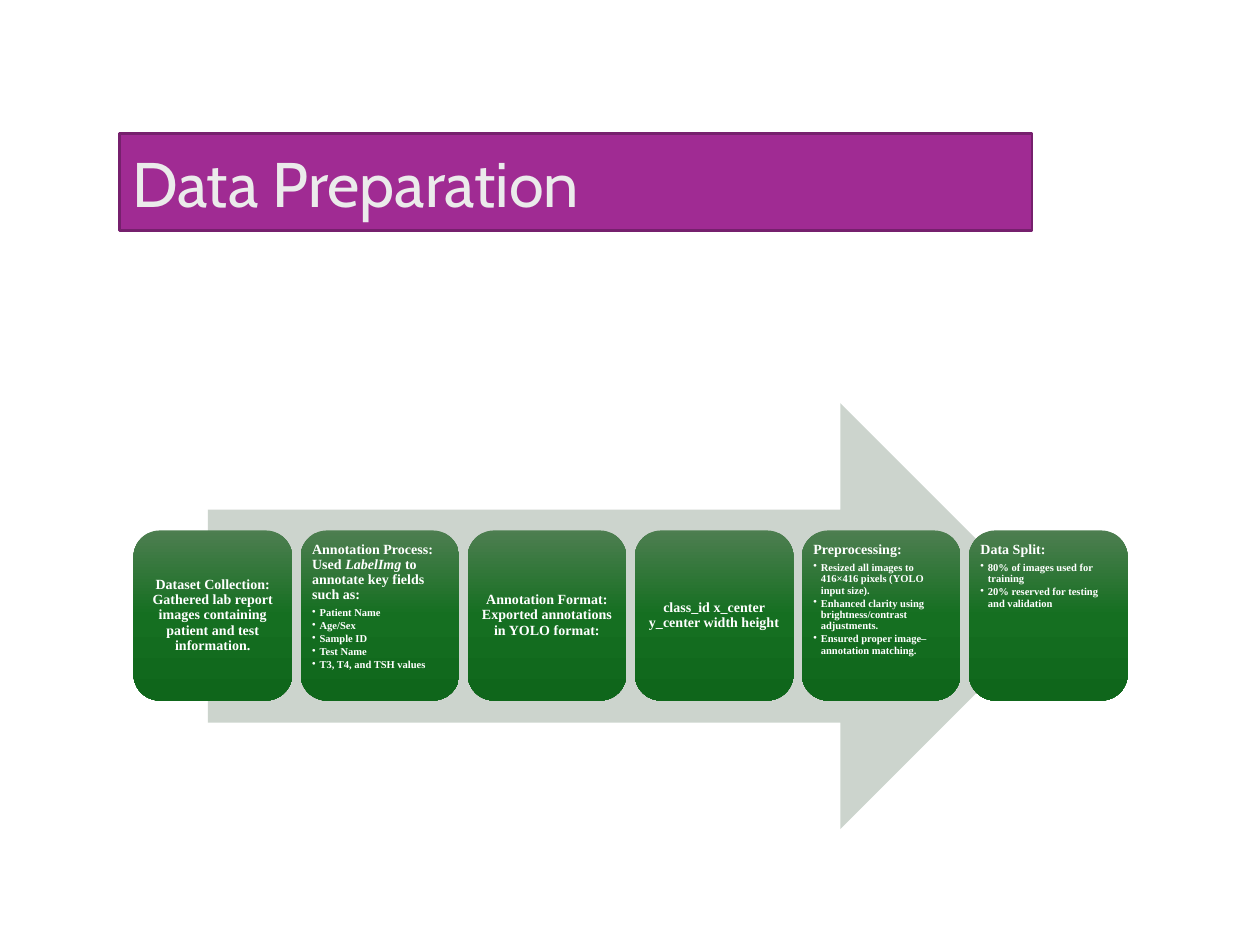
import pptx
import pptx.util
import pptx.oxml
import pptx.dml.color
import pptx.enum.shapes
import pptx.enum.text

Inches, Pt = pptx.util.Inches, pptx.util.Pt
KIND = pptx.enum.shapes.MSO_SHAPE
ALIGN = pptx.enum.text.PP_ALIGN
ANCHOR = pptx.enum.text.MSO_ANCHOR
NS = 'xmlns:a="http://schemas.openxmlformats.org/drawingml/2006/main"'


def color(code):
    return pptx.dml.color.RGBColor.from_string(code)


def put(kind, left, top, width, height, fill):
    shape = slide.shapes.add_shape(
        kind, Inches(left), Inches(top), Inches(width), Inches(height))
    shape.shadow.inherit = False
    shape.fill.solid()
    shape.fill.fore_color.rgb = color(fill)
    shape.line.fill.background()
    return shape


deck = pptx.Presentation()
deck.slide_width, deck.slide_height = Inches(10), Inches(7.5)
slide = deck.slides.add_slide(deck.slide_layouts[6])

# Title bar
bar = put(KIND.RECTANGLE, 0.95, 1.06, 7.24, 0.77, "A02B93")
bar.line.color.rgb = color("76206D")
bar.line.width = Pt(1.5)
bar.text_frame.vertical_anchor = ANCHOR.MIDDLE
para = bar.text_frame.paragraphs[0]
para.alignment = ALIGN.LEFT
para.space_after = Pt(6)
run = para.add_run()
run.text = "Data Preparation"
for name, value in {"name": "Cabin", "size": Pt(36)}.items():
    setattr(run.font, name, value)
run.font.color.rgb = color("EBEBEB")

# Arrow behind the steps
put(KIND.RIGHT_ARROW, 1.65, 3.2, 6.71, 3.38, "CCD4CD")

# Steps: heading (* marks italics), then bullets
steps = [
    ("Dataset Collection:\nGathered lab report images containing "
     "patient and test information.", []),
    ("Annotation Process:\nUsed *LabelImg* to annotate key fields such as:",
     ["Patient Name", "Age/Sex", "Sample ID", "Test Name",
      "T3, T4, and TSH values"]),
    ("Annotation Format:\nExported annotations in YOLO format:", []),
    ("class_id x_center y_center width height", []),
    ("Preprocessing:",
     ["Resized all images to 416×416 pixels (YOLO input size).",
      "Enhanced clarity using brightness/contrast adjustments.",
      "Ensured proper image–annotation matching."]),
    ("Data Split:",
     ["80% of images used for training",
      "20% reserved for testing and validation"]),
]
shades = [(0, "4D7E50"), (50, "156F21"), (100, "0F661B")]
stops = "".join(f'<a:gs pos="{pos * 1000}"><a:srgbClr val="{code}"/></a:gs>'
                for pos, code in shades)
blend = (f'<a:gradFill {NS}><a:gsLst>{stops}</a:gsLst>'
         '<a:lin ang="5400000" scaled="0"/></a:gradFill>')
inset = Inches(0.03)
frame_look = {"margin_left": inset, "margin_right": inset,
              "margin_top": inset, "margin_bottom": inset,
              "word_wrap": True}
font_look = {"name": "Times New Roman", "bold": True}

for col, (head, points) in enumerate(steps):
    card = put(KIND.ROUNDED_RECTANGLE, 1.06 + col * 1.326, 4.21, 1.26, 1.35,
               "156F21")
    solid = card.fill._xPr.solidFill if hasattr(card.fill._xPr, "solidFill") \
        else card.fill._xPr.find(pptx.oxml.ns.qn("a:solidFill"))
    solid.getparent().replace(solid, pptx.oxml.parse_xml(blend))

    frame = card.text_frame
    for name, value in frame_look.items():
        setattr(frame, name, value)
    frame.vertical_anchor = ANCHOR.TOP if points else ANCHOR.MIDDLE

    for row, text in enumerate([head] + points):
        para = frame.add_paragraph() if row else frame.paragraphs[0]
        look = {"alignment": ALIGN.LEFT if points else ALIGN.CENTER,
                "line_spacing": 0.9, "space_after": Pt(1 if row else 3),
                "level": 1 if row else 0}
        for name, value in look.items():
            setattr(para, name, value)
        if row:
            props = para._p.get_or_add_pPr()
            props.set("marL", str(Inches(0.06)))
            props.set("indent", str(-Inches(0.06)))
            props.append(pptx.oxml.parse_xml(f'<a:buChar {NS} char="•"/>'))
        for line, words in enumerate(text.split("\n")):
            if line:
                para.add_line_break()
            for part, piece in enumerate(words.split("*")):
                run = para.add_run()
                run.text = piece
                for name, value in font_look.items():
                    setattr(run.font, name, value)
                run.font.size = Pt(6 if row else 8)
                run.font.italic = part % 2 == 1
                run.font.color.rgb = color("FFFFFF")

deck.save("out.pptx")
